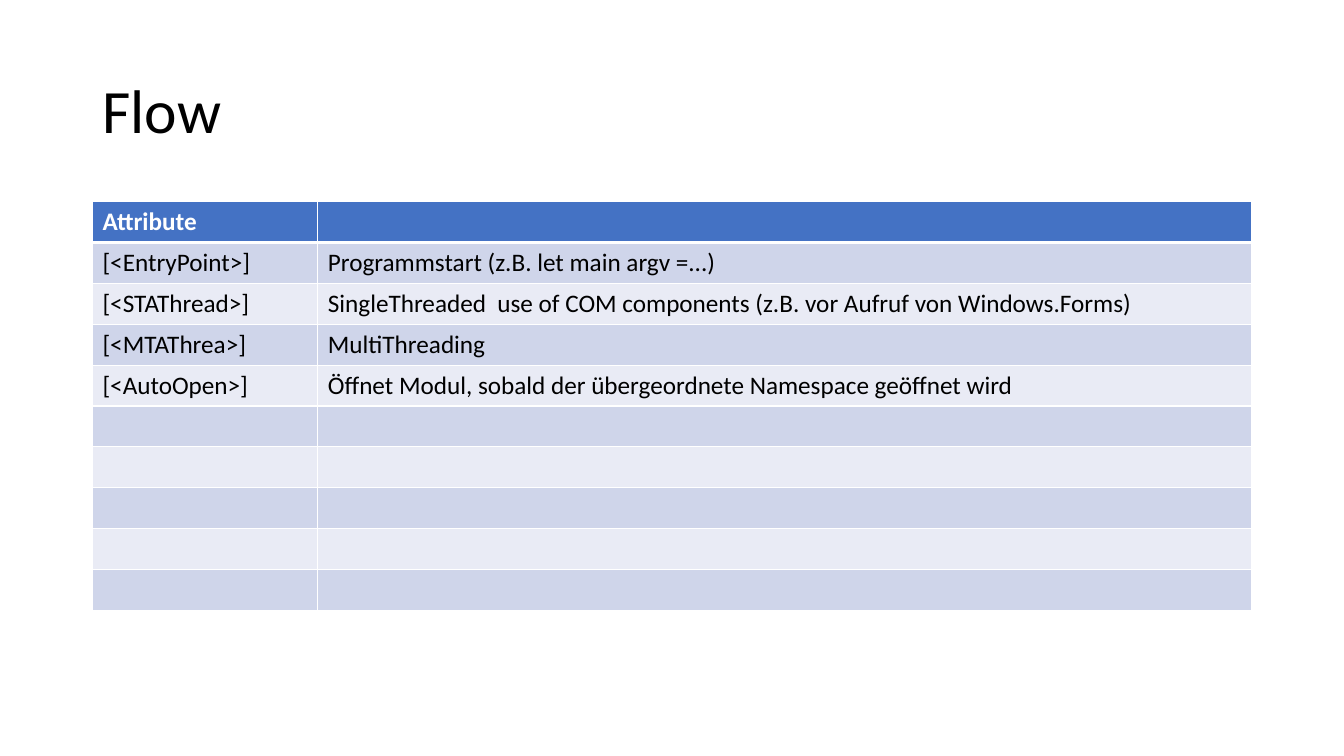
from pptx import Presentation
from pptx.dml.color import RGBColor
from pptx.enum.text import MSO_ANCHOR, PP_ALIGN
from pptx.oxml import parse_xml
from pptx.oxml.ns import nsdecls
from pptx.util import Cm, Pt

LEFT, WIDTH = 2.33, 29.21
ROW_HEIGHT, ROW_COUNT = 1.03, 10
COLUMN_WIDTHS = (5.68, 23.53)
ATTRIBUTES = [
    ("Attribute", ""),
    ("[<EntryPoint>]", "Programmstart (z.B. let main argv =...)"),
    ("[<STAThread>]", "SingleThreaded  use of COM components "
                      "(z.B. vor Aufruf von Windows.Forms)"),
    ("[<MTAThrea>]", "MultiThreading"),
    ("[<AutoOpen>]", "Öffnet Modul, sobald der übergeordnete Namespace geöffnet wird"),
]


def color(value):
    return RGBColor.from_string(value)


class SlideBuilder:
    font = "Calibri"
    black, white = "000000", "FFFFFF"
    header, bands = "4472C4", ("E9EBF5", "CFD5EA")

    def __init__(self, prs):
        self.slide = prs.slides.add_slide(prs.slide_layouts[5])

    def format(self, p, size, text_color, bold=False):
        p.font.name, p.font.size, p.font.bold = self.font, Pt(size), bold
        p.font.color.rgb = color(text_color)

    def title(self, text, left, top, width, height):
        sp = self.slide.shapes.title
        sp.left, sp.top, sp.width, sp.height = map(Cm, (left, top, width, height))
        tf = sp.text_frame
        tf.text = text
        tf.vertical_anchor = MSO_ANCHOR.MIDDLE
        p = tf.paragraphs[0]
        p.alignment = PP_ALIGN.LEFT
        p.line_spacing = 0.9
        self.format(p, 44, self.black)

    def borders(self, cell, **widths):
        tc_pr = cell._tc.get_or_add_tcPr()
        for side in "LRTB":
            tc_pr.append(parse_xml(
                f'<a:ln{side} {nsdecls("a")} w="{Pt(widths.get(side, 1))}">'
                f'<a:solidFill><a:srgbClr val="{self.white}"/></a:solidFill>'
                f'</a:ln{side}>'))

    def cell(self, cell, text, row):
        is_header = row == 0
        # The rule below the header is shared by the first two rows
        self.borders(cell, **({"B": 3} if is_header else {"T": 3} if row == 1 else {}))
        cell.fill.solid()
        cell.fill.fore_color.rgb = color(self.header if is_header else self.bands[row % 2])
        cell.text = text
        self.format(cell.text_frame.paragraphs[0], 18,
                    self.white if is_header else self.black, is_header)

    def table(self, rows, row_count, left, top, col_widths, row_height):
        table = self.slide.shapes.add_table(
            row_count, len(col_widths), Cm(left), Cm(top),
            Cm(sum(col_widths)), Cm(row_height * row_count)).table
        for column, width in zip(table.columns, col_widths):
            column.width = Cm(width)
        for i, row in enumerate(table.rows):
            row.height = Cm(row_height)
            texts = rows[i] if i < len(rows) else [""] * len(col_widths)
            for cell, text in zip(row.cells, texts):
                self.cell(cell, text, i)


prs = Presentation()
prs.slide_width, prs.slide_height = Cm(33.87), Cm(19.05)
s = SlideBuilder(prs)

# Title
s.title("Flow", LEFT, 1.01, WIDTH, 3.68)

# Attribute table with empty rows at the end
s.table(ATTRIBUTES, ROW_COUNT, LEFT, 5.08, COLUMN_WIDTHS, ROW_HEIGHT)

prs.save("out.pptx")
